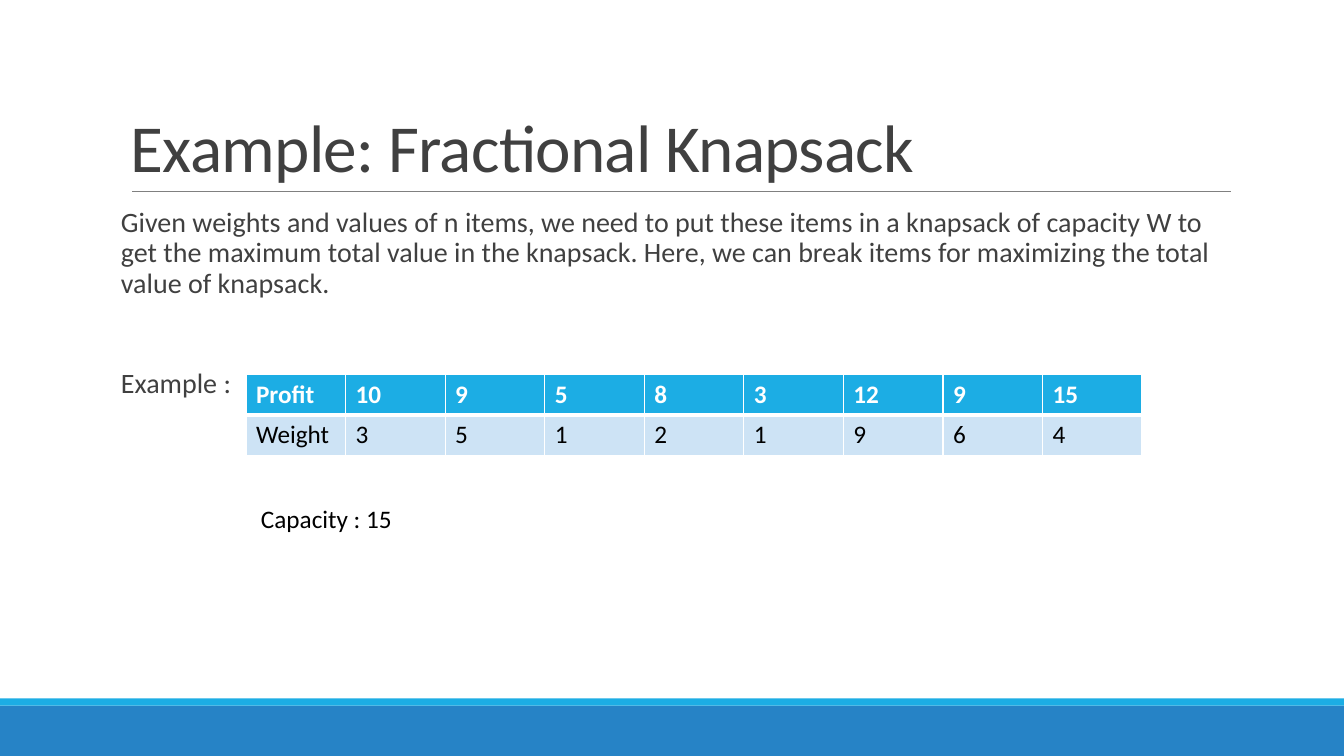
from dataclasses import dataclass

from lxml import etree
from pptx import Presentation
from pptx.dml.color import RGBColor
from pptx.enum.shapes import MSO_CONNECTOR, MSO_SHAPE
from pptx.enum.text import MSO_ANCHOR, MSO_AUTO_SIZE
from pptx.oxml.ns import qn
from pptx.util import Inches, Pt

RECT = MSO_SHAPE.RECTANGLE
LINE = MSO_CONNECTOR.STRAIGHT
TOP, BOTTOM = MSO_ANCHOR.TOP, MSO_ANCHOR.BOTTOM
GROW = MSO_AUTO_SIZE.SHAPE_TO_FIT_TEXT
FONT = "Calibri"
WIDE, HIGH = 13.33, 7.5
GREY, WHITE, BLACK = "404040", "FFFFFF", "000000"
CYAN, BLUE, PALE = "1CADE4", "2683C6", "CDE3F5"


@dataclass
class Bar:
    top: float
    height: float
    fill: str


@dataclass
class Label:
    box: tuple[float, float, float, float]
    lines: list[str]
    size: int
    color: str
    inset: float = 0.1
    wrap: bool = True
    anchor: MSO_ANCHOR = TOP


@dataclass
class Row:
    values: list[str]
    fill: str
    color: str
    bold: bool
    top: int
    bottom: int


BARS = [Bar(7, 0.5, BLUE), Bar(6.93, 0.07, CYAN)]
TITLE = Label((1.2, 0.31, 11, 1.59), ["Example: Fractional Knapsack"], 48, GREY,
              anchor=BOTTOM)
BODY = Label((1.2, 2.02, 11, 4.4), [
    "Given weights and values of n items, we need to put these items in a "
    "knapsack of capacity W to get the maximum total value in the knapsack. "
    "Here, we can break items for maximizing the total value of knapsack.",
    "Example :",
], 20, GREY, inset=0)
LIMIT = Label((2.49, 4.94, 1.51, 0.4), ["Capacity : 15"], 18, BLACK, wrap=False)
ROWS = [
    Row(["Profit", "10", "9", "5", "8", "3", "12", "9", "15"],
        CYAN, WHITE, True, 1, 3),
    Row(["Weight", "3", "5", "1", "2", "1", "9", "6", "4"],
        PALE, BLACK, False, 3, 1),
]


def rgb(color: str) -> RGBColor:
    return RGBColor.from_string(color)


def style(para, size: int, color: str, bold: bool = False) -> None:
    for run in para.runs:
        font = run.font
        font.name, font.size, font.bold = FONT, Pt(size), bold
        font.color.rgb = rgb(color)


def add_bar(slide, bar: Bar) -> None:
    shape = slide.shapes.add_shape(
        RECT, 0, Inches(bar.top), Inches(WIDE), Inches(bar.height))
    shape.shadow.inherit = False
    shape.fill.solid()
    shape.fill.fore_color.rgb = rgb(bar.fill)
    shape.line.fill.background()


def add_rule(slide) -> None:
    rule = slide.shapes.add_connector(
        LINE, Inches(1.31), Inches(1.9), Inches(12.21), Inches(1.9))
    rule.line.color.rgb = rgb("808080")
    rule.line.width = Pt(0.5)
    etree.SubElement(rule.element.spPr, qn("a:effectLst"))


def add_label(slide, label: Label) -> list:
    """Draw the text and return its paragraphs."""
    frame = slide.shapes.add_textbox(*map(Inches, label.box)).text_frame
    frame.word_wrap = label.wrap
    if not label.wrap:
        frame.auto_size = GROW
    frame.vertical_anchor = label.anchor
    frame.margin_left = frame.margin_right = Inches(label.inset)
    frame.text = "\n".join(label.lines)
    for para in frame.paragraphs:
        style(para, label.size, label.color)
    return list(frame.paragraphs)


def add_edge(cell, side: str, width: int) -> None:
    edge = etree.SubElement(
        cell._tc.get_or_add_tcPr(), qn(f"a:ln{side}"), w=str(Pt(width)))
    fill = etree.SubElement(edge, qn("a:solidFill"))
    etree.SubElement(fill, qn("a:srgbClr"), val=WHITE)


def add_items(slide, rows: list[Row]) -> None:
    """Draw the table of profits and weights."""
    table = slide.shapes.add_table(
        len(rows), len(rows[0].values),
        Inches(2.44), Inches(3.71), Inches(8.89), Inches(0.81)).table
    table.horz_banding = False
    for r, row in enumerate(rows):
        edges = {"L": 1, "R": 1, "T": row.top, "B": row.bottom}
        for c, value in enumerate(row.values):
            cell = table.cell(r, c)
            cell.text_frame.text = value
            style(cell.text_frame.paragraphs[0], 18, row.color, row.bold)
            for side, width in edges.items():
                add_edge(cell, side, width)
            cell.fill.solid()
            cell.fill.fore_color.rgb = rgb(row.fill)


def main() -> None:
    deck = Presentation()
    deck.slide_width, deck.slide_height = Inches(WIDE), Inches(HIGH)
    slide = deck.slides.add_slide(deck.slide_layouts[6])
    for bar in BARS:
        add_bar(slide, bar)
    add_rule(slide)

    title = add_label(slide, TITLE)[0]
    title.line_spacing = 0.85
    title.runs[0].font._element.set("spc", "-50")

    body = add_label(slide, BODY)
    for para, before in zip(body, (12, 48)):
        para.line_spacing = 0.9
        para.space_before, para.space_after = Pt(before), Pt(2)

    add_items(slide, ROWS)
    add_label(slide, LIMIT)
    deck.save("out.pptx")


if __name__ == "__main__":
    main()
